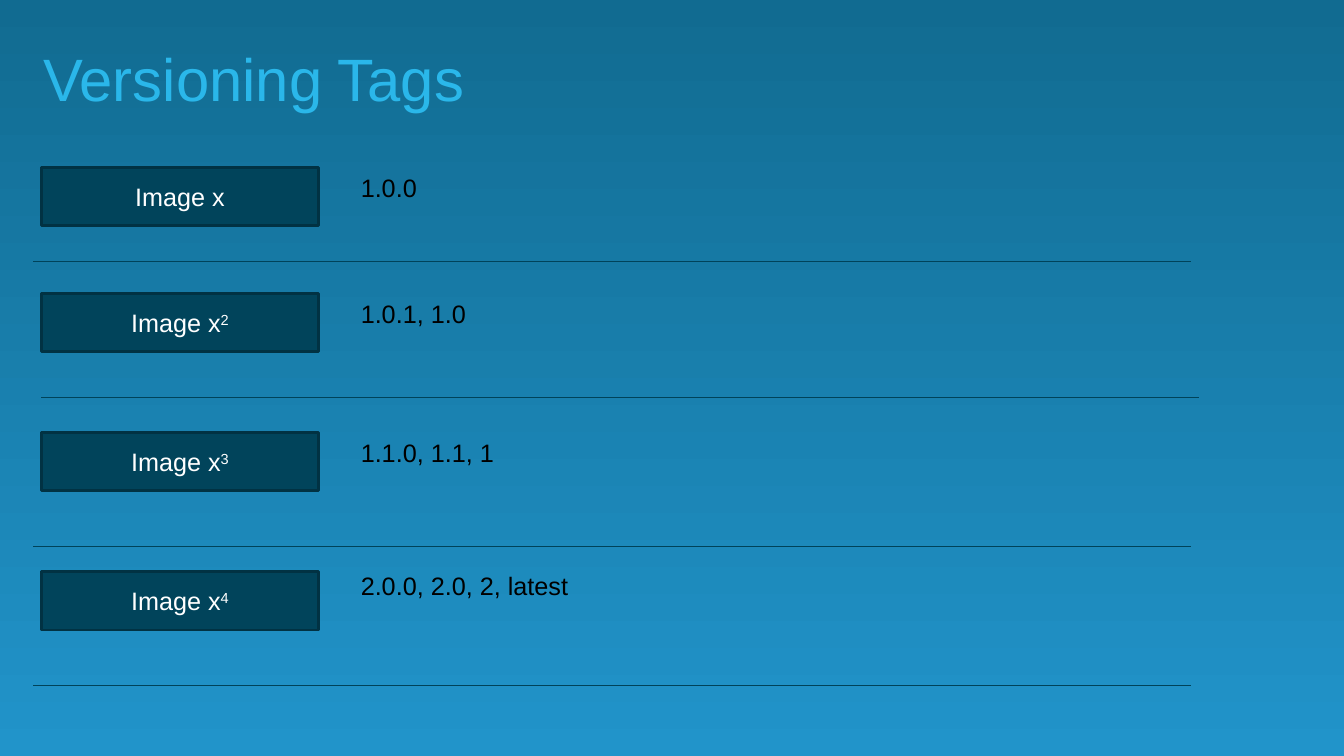
from dataclasses import dataclass

from lxml.etree import SubElement
from pptx import Presentation
from pptx.dml.color import RGBColor
from pptx.enum.shapes import MSO_CONNECTOR, MSO_SHAPE
from pptx.enum.text import MSO_ANCHOR, PP_ALIGN
from pptx.oxml.ns import qn
from pptx.shapes.base import BaseShape
from pptx.slide import Slide
from pptx.util import Emu, Pt

EMU_PER_PX = 9144
SLIDE_WIDTH, SLIDE_HEIGHT = 1333, 750
BOX_LEFT, BOX_WIDTH, BOX_HEIGHT = 41, 275, 58
TAGS_LEFT, TAGS_WIDTH, TAGS_HEIGHT = 348, 583, 40
RULE_WIDTH = 1148


@dataclass(frozen=True)
class ImageVersion:
    exponent: str
    tags: str
    box_top: int
    tags_top: int
    rule_left: int
    rule_top: int


VERSIONS = [
    ImageVersion("", "1.0.0", 166, 166, 33, 259),
    ImageVersion("2", "1.0.1, 1.0", 291, 291, 41, 394),
    ImageVersion("3", "1.1.0, 1.1, 1", 429, 429, 33, 542),
    ImageVersion("4", "2.0.0, 2.0, 2, latest", 567, 561, 33, 680),
]


def px(length: int) -> Emu:
    return Emu(length * EMU_PER_PX)


def color(value: str) -> RGBColor:
    return RGBColor.from_string(value)


def write_text(
    shape: BaseShape,
    text: str,
    *,
    size: float = 18,
    fill: str = "000000",
    align: PP_ALIGN = PP_ALIGN.LEFT,
    anchor: MSO_ANCHOR = MSO_ANCHOR.TOP,
    line_spacing: float = 1.0,
    superscript: str = "",
) -> None:
    frame = shape.text_frame
    frame.word_wrap = True
    frame.vertical_anchor = anchor
    paragraph = frame.paragraphs[0]
    paragraph.alignment = align
    paragraph.line_spacing = line_spacing
    for content, baseline in ((text, ""), (superscript, "30000")):
        if not content:
            continue
        run = paragraph.add_run()
        run.text = content
        run.font.name = "Arial"
        run.font.size = Pt(size)
        run.font.color.rgb = color(fill)
        if baseline:
            run._r.get_or_add_rPr().set("baseline", baseline)


def paint_background(slide: Slide) -> None:
    fill = slide.background.fill
    fill.gradient()
    fill.gradient_angle = 270
    for stop, value in zip(fill.gradient_stops, ("116B91", "2194CA")):
        stop.color.rgb = color(value)


def add_title(slide: Slide, text: str) -> None:
    title = slide.shapes.add_textbox(px(33), px(40), px(1267), px(70))
    frame = title.text_frame
    frame.margin_top = frame.margin_bottom = px(10)
    frame.margin_left = frame.margin_right = px(10)
    write_text(title, text, size=42.7, fill="2AB7EA", line_spacing=0.9)


def add_version(slide: Slide, version: ImageVersion) -> None:
    box = slide.shapes.add_shape(
        MSO_SHAPE.RECTANGLE,
        px(BOX_LEFT), px(version.box_top), px(BOX_WIDTH), px(BOX_HEIGHT),
    )
    box.shadow.inherit = False
    box.fill.solid()
    box.fill.fore_color.rgb = color("01445B")
    box.line.color.rgb = color("013243")
    box.line.width = Pt(2)
    write_text(
        box, "Image x", fill="FFFFFF", align=PP_ALIGN.CENTER,
        anchor=MSO_ANCHOR.MIDDLE, superscript=version.exponent,
    )

    tags = slide.shapes.add_textbox(
        px(TAGS_LEFT), px(version.tags_top), px(TAGS_WIDTH), px(TAGS_HEIGHT)
    )
    write_text(tags, version.tags)

    rule = slide.shapes.add_connector(
        MSO_CONNECTOR.STRAIGHT,
        px(version.rule_left), px(version.rule_top),
        px(version.rule_left + RULE_WIDTH), px(version.rule_top),
    )
    rule.line.color.rgb = color("00435A")
    rule.line.width = Pt(0.75)
    SubElement(rule._element.spPr, qn("a:effectLst"))


def main() -> None:
    presentation = Presentation()
    presentation.slide_width = px(SLIDE_WIDTH)
    presentation.slide_height = px(SLIDE_HEIGHT)
    slide = presentation.slides.add_slide(presentation.slide_layouts[6])
    paint_background(slide)
    add_title(slide, "Versioning Tags")
    for version in VERSIONS:
        add_version(slide, version)
    presentation.save("out.pptx")


if __name__ == "__main__":
    main()
